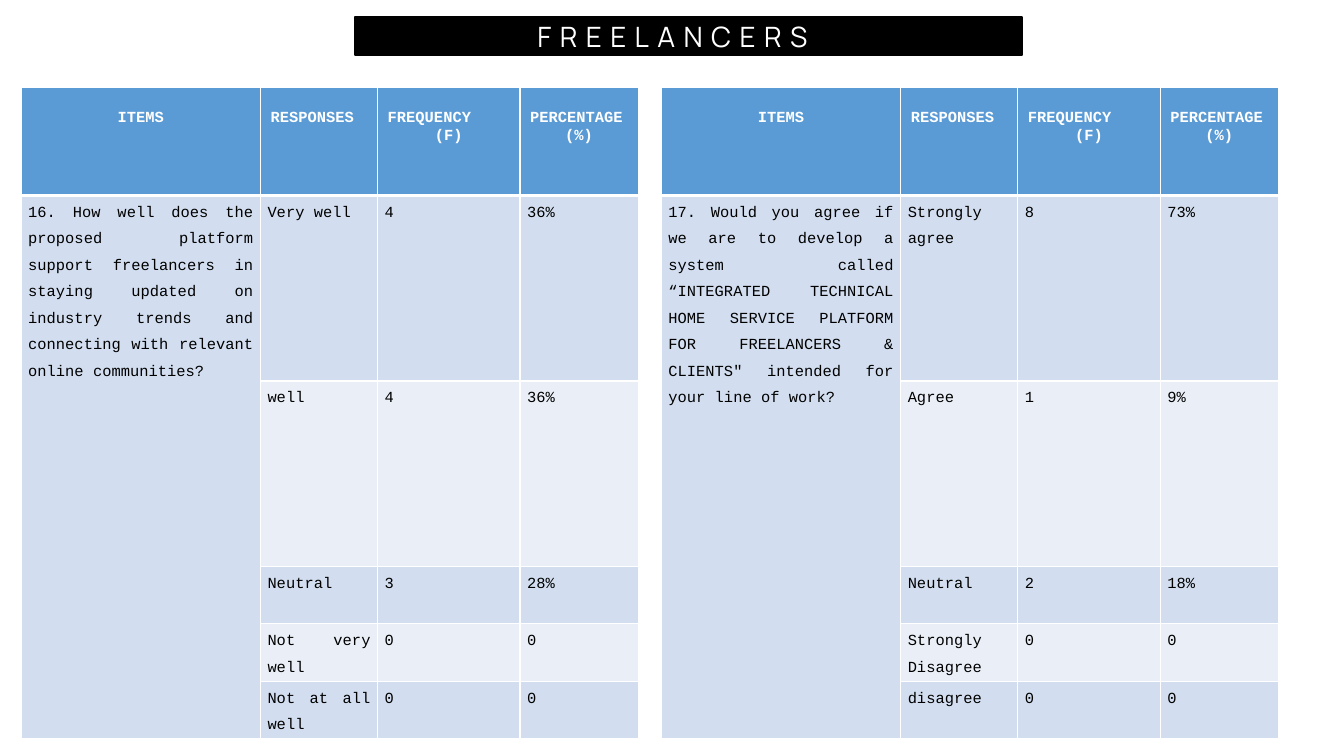
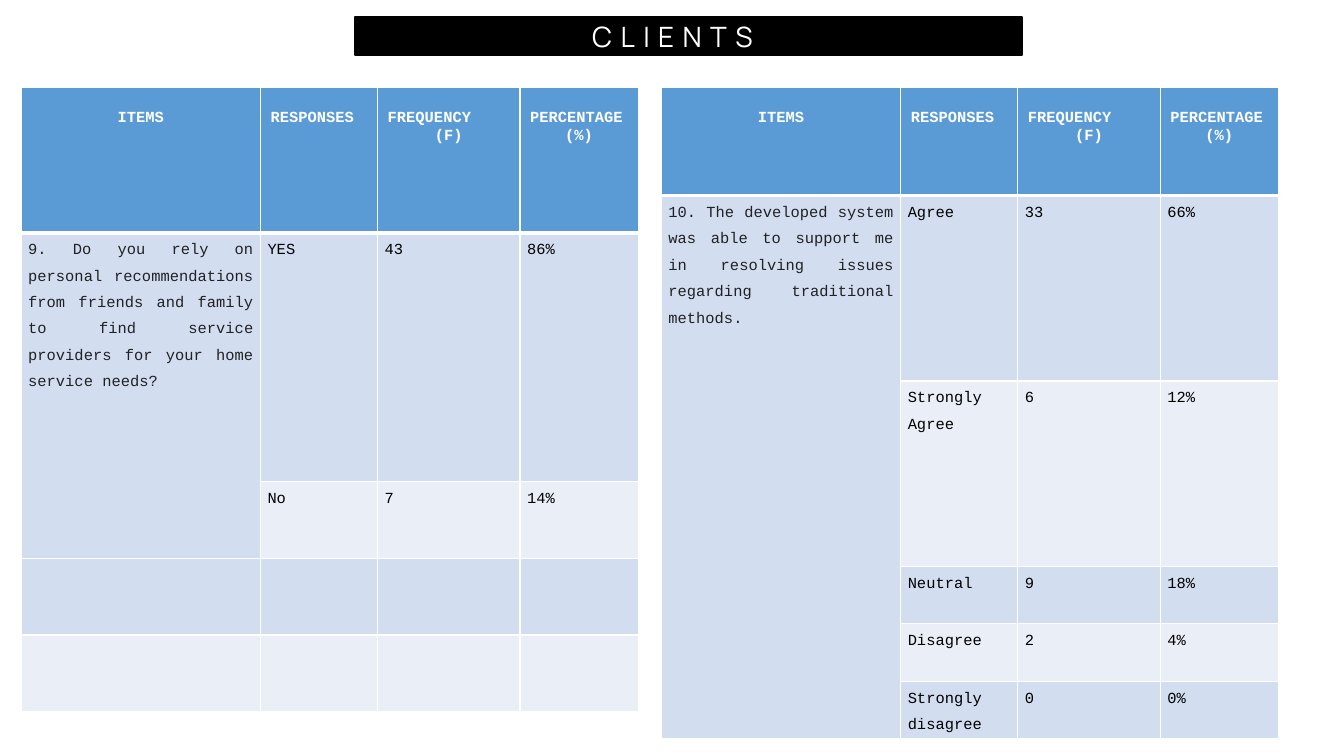
from lxml import etree
from pptx import Presentation, util as u
from pptx.dml.color import RGBColor
from pptx.enum import shapes, text
from pptx.oxml.ns import qn

WHITE = RGBColor(0xFF, 0xFF, 0xFF)
BLACK = RGBColor(0x00, 0x00, 0x00)
CHARCOAL = RGBColor(0x20, 0x21, 0x24)
HEADER_BLUE = RGBColor(0x5B, 0x9B, 0xD5)
BANDS = (RGBColor(0xD2, 0xDE, 0xEF), RGBColor(0xEA, 0xEF, 0xF7))

TABLE_FONT, TITLE_FONT = "Courier New", "Manrope"
SLIDE_WIDTH, SLIDE_HEIGHT = 13.33, 7.5
TITLE_BOX = (3.52, 0.17, 6.62, 0.38)
TABLE_LEFTS, TABLE_TOP, TABLE_WIDTH = (0.21, 6.56), 0.87, 6.12
COLUMN_WEIGHTS = (2.37, 1.16, 1.41, 1.17)
FIVE_ANSWERS = (6.46, (1.07, 1.84, 1.84, 0.57, 0.57, 0.57))
TWO_ANSWERS = (6.19, (1.44, 2.47, 0.76, 0.76, 0.76))

HEADINGS = ("ITEMS", "RESPONSES", "FREQUENCY\n(F)", "PERCENTAGE\n(%)")

PAGES = (
    ("FREELANCERS", BLACK, (
        (FIVE_ANSWERS,
         "16. How well does the proposed platform support freelancers in staying updated on "
         "industry trends and connecting with relevant online communities?",
         (("Very well", "4", "36%"), ("well", "4", "36%"), ("Neutral", "3", "28%"),
          ("Not very well", "0", "0"), ("Not at all well", "0", "0"))),
        (FIVE_ANSWERS,
         "17. Would you agree if we are to develop a system called “INTEGRATED TECHNICAL HOME "
         "SERVICE PLATFORM FOR FREELANCERS & CLIENTS\" intended for your line of work?",
         (("Strongly agree", "8", "73%"), ("Agree", "1", "9%"), ("Neutral", "2", "18%"),
          ("Strongly Disagree", "0", "0"), ("disagree", "0", "0"))),
    )),
    ("CLIENTS", CHARCOAL, (
        (TWO_ANSWERS,
         "9. Do you rely on personal recommendations from friends and family to find service "
         "providers for your home service needs?",
         (("YES", "43", "86%"), ("No", "7", "14%"))),
        (FIVE_ANSWERS,
         "10. The developed system was able to support me in resolving issues regarding "
         "traditional methods.",
         (("Agree", "33", "66%"), ("Strongly Agree", "6", "12%"), ("Neutral", "9", "18%"),
          ("Disagree", "2", "4%"), ("Strongly disagree", "0", "0%"))),
    )),
)


def add_title(page, box, words):
    band = page.shapes.add_shape(shapes.MSO_SHAPE.RECTANGLE, *map(u.Inches, box))
    band.shadow.inherit = False
    band.fill.solid()
    band.fill.fore_color.rgb = BLACK
    band.line.color.rgb = BLACK
    band.line.width = u.Pt(1.5)
    frame = band.text_frame
    frame.word_wrap = True
    frame.vertical_anchor = text.MSO_ANCHOR.MIDDLE
    frame.margin_right = u.Inches(0.42)
    para = frame.paragraphs[0]
    para.alignment = text.PP_ALIGN.CENTER
    para.font.name = TITLE_FONT
    para.font.size = u.Pt(20)
    para.font.color.rgb = WHITE
    span = para.add_run()
    span.text = words
    span.font._element.set("spc", "600")


def paint_cell(cell, fill, top=1, bottom=1):
    properties = cell._tc.get_or_add_tcPr()
    for side, width in (("L", 1), ("R", 1), ("T", top), ("B", bottom)):
        line = etree.SubElement(properties, qn(f"a:ln{side}"), w=str(u.Pt(width)))
        solid = etree.SubElement(line, qn("a:solidFill"))
        etree.SubElement(solid, qn("a:srgbClr"), val=str(WHITE))
    cell.fill.solid()
    cell.fill.fore_color.rgb = fill


def style_para(para, colour, bold, alignment):
    para.alignment = alignment
    para.font.name = TABLE_FONT
    para.font.size = u.Pt(11)
    para.font.bold = bold
    para.font.color.rgb = colour


def write_heading(cell, words, centred):
    cell.margin_top = u.Inches(0.22)
    cell.text = words
    for index, para in enumerate(cell.text_frame.paragraphs):
        middle = centred or index > 0
        style_para(para, WHITE, True, text.PP_ALIGN.CENTER if middle else text.PP_ALIGN.LEFT)


def write_body(cell, words, colour):
    cell.margin_left = cell.margin_right = u.Inches(0.07)
    cell.margin_top = cell.margin_bottom = 0
    cell.text = words
    para = cell.text_frame.paragraphs[0]
    style_para(para, colour, False, text.PP_ALIGN.JUSTIFY)
    para.line_spacing = 1.5


def add_survey_table(page, box, row_weights, question, question_colour, answers):
    left, top, width, height = box
    table = page.shapes.add_table(
        len(row_weights), len(COLUMN_WEIGHTS), *map(u.Inches, box)).table
    table.horz_banding = False
    for column, weight in zip(table.columns, COLUMN_WEIGHTS):
        column.width = u.Inches(width * weight / sum(COLUMN_WEIGHTS))
    for row, weight in zip(table.rows, row_weights):
        row.height = u.Inches(height * weight / sum(row_weights))

    for row_index, row in enumerate(table.rows):
        for cell in row.cells:
            if row_index == 0:
                paint_cell(cell, HEADER_BLUE, bottom=3)
            else:
                paint_cell(cell, BANDS[(row_index - 1) % 2], top=3 if row_index == 1 else 1)

    for index, heading in enumerate(HEADINGS):
        write_heading(table.cell(0, index), heading, index == 0)
    table.cell(1, 0).merge(table.cell(len(answers), 0))
    write_body(table.cell(1, 0), question, question_colour)
    for row_index, answer in enumerate(answers, 1):
        for column_index, words in enumerate(answer, 1):
            write_body(table.cell(row_index, column_index), words, BLACK)


def add_survey_page(deck, title, question_colour, surveys):
    page = deck.slides.add_slide(deck.slide_layouts[6])
    for left, ((height, row_weights), question, answers) in zip(TABLE_LEFTS, surveys):
        box = (left, TABLE_TOP, TABLE_WIDTH, height)
        add_survey_table(page, box, row_weights, question, question_colour, answers)
    add_title(page, TITLE_BOX, title)


def main():
    deck = Presentation()
    deck.slide_width = u.Inches(SLIDE_WIDTH)
    deck.slide_height = u.Inches(SLIDE_HEIGHT)
    for title, question_colour, surveys in PAGES:
        add_survey_page(deck, title, question_colour, surveys)
    deck.save("out.pptx")


if __name__ == "__main__":
    main()
